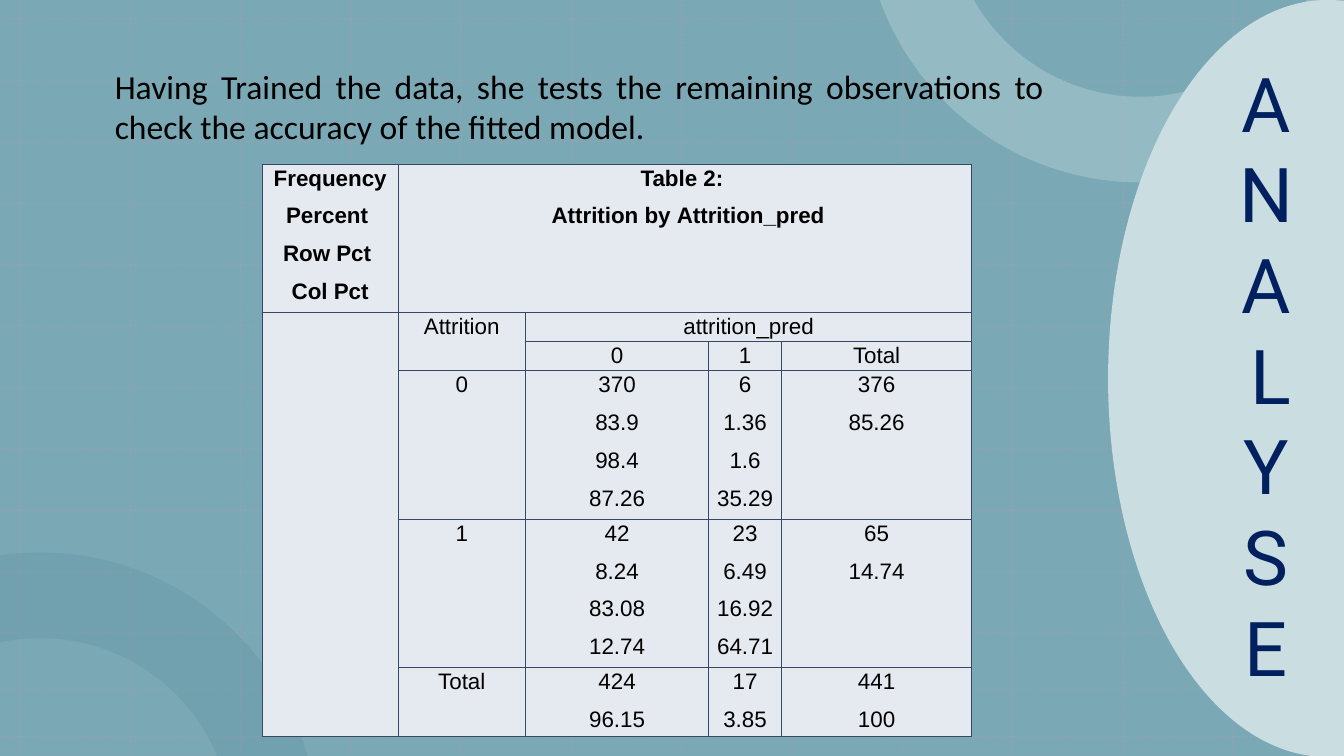
import math

import pptx
import pptx.dml.color
import pptx.enum.shapes
import pptx.enum.text
import pptx.oxml
import pptx.oxml.ns
import pptx.util

Inches, Pt = pptx.util.Inches, pptx.util.Pt
RGBColor = pptx.dml.color.RGBColor
ALIGN = pptx.enum.text.PP_ALIGN
SHAPE = pptx.enum.shapes.MSO_SHAPE

# Content
TITLE = "ANALYSE"
INTRO = ("Having Trained the data, she tests the remaining observations "
         "to check the accuracy of the fitted model.")
# (row, column, rows spanned, columns spanned, lines)
HEADER_CELLS = [
    (0, 0, 1, 1, ["Frequency", "Percent ", "Row Pct ", "Col Pct"]),
    (0, 1, 1, 4, ["Table 2: ", "\u00a0Attrition\u00a0by\u00a0Attrition_pred"]),
    (1, 0, 5, 1, []),
    (1, 1, 2, 1, ["Attrition"]),
    (1, 2, 1, 3, ["attrition_pred"]),
]
# Rows below the merged headers, from the second column on
BODY_ROWS = {
    2: [None, ["0"], ["1"], ["Total"]],
    3: [["0"], ["370", "83.9", "98.4", "87.26"], ["6", "1.36", "1.6", "35.29"],
        ["376", "85.26"]],
    4: [["1"], ["42", "8.24", "83.08", "12.74"], ["23", "6.49", "16.92", "64.71"],
        ["65", "14.74"]],
    5: [["Total"], ["424", "96.15"], ["17", "3.85"], ["441", "100"]],
}

# Colours
ROSE = RGBColor(0xD6, 0xB2, 0xB8)
TEAL = RGBColor(0x7A, 0xA9, 0xB5)
DEEP_TEAL = RGBColor(0x51, 0x85, 0x92)
LIGHT_TEAL = RGBColor(0xAF, 0xCB, 0xD3)
PALE_TEAL = RGBColor(0xCA, 0xDD, 0xE1)
PINK = RGBColor(0xC7, 0x95, 0xB3)
NAVY = RGBColor(0x00, 0x20, 0x60)
CELL_FILL = RGBColor(0xE5, 0xEA, 0xF1)
BORDER = RGBColor(0x36, 0x48, 0x66)
BLACK = RGBColor(0, 0, 0)

# Layout, in inches
WIDTH, HEIGHT = 13.33, 7.5
GRID_X = [0.2 + 1.0936 * i for i in range(12)] + [13.11]
GRID_Y = [0.19 + 0.609 * i for i in range(11)] + [6.83, 7.31]
RING_OUTER, RING_INNER = 2.75, 1.9
COLUMNS = [1.35, 1.26, 1.82, 0.72, 1.89]
ROWS = [1.47, 0.28, 0.29, 1.47, 1.47, 0.68]

presentation = pptx.Presentation()
presentation.slide_width = Inches(WIDTH)
presentation.slide_height = Inches(HEIGHT)
slide = presentation.slides.add_slide(presentation.slide_layouts[5])
shapes = slide.shapes
slide.background.fill.solid()
slide.background.fill.fore_color.rgb = ROSE


def child(parent, tag, **attributes):
    element = parent.makeelement(pptx.oxml.ns.qn(tag), attributes)
    parent.append(element)
    return element


def set_opacity(properties, percent):
    for color in properties.iter(pptx.oxml.ns.qn("a:srgbClr")):
        child(color, "a:alpha", val=str(percent * 1000))


def style_shape(shape, color):
    shape.shadow.inherit = False
    shape.fill.solid()
    shape.fill.fore_color.rgb = color
    shape.line.fill.background()


def add_panel(kind, left, top, width, height, color):
    panel = shapes.add_shape(kind, Inches(left), Inches(top), Inches(width), Inches(height))
    style_shape(panel, color)
    return panel


def add_grid_line(x1, y1, x2, y2):
    line = shapes.add_connector(pptx.enum.shapes.MSO_CONNECTOR.STRAIGHT,
                                Inches(x1), Inches(y1), Inches(x2), Inches(y2))
    line.line.color.rgb = PINK
    line.line.width = Pt(1.5)
    child(line.line._get_or_add_ln(), "a:prstDash", val="sysDot")
    properties = line._element.spPr
    child(properties, "a:effectLst")
    set_opacity(properties, 20)


def leg(radius, distance):
    return math.sqrt(radius ** 2 - distance ** 2)


def add_ring(center, outer, corners, inner, color, opacity):
    """Part of a ring: the outer and inner points are joined by true arcs."""
    outline = outer + corners + inner
    builder = shapes.build_freeform(*map(Inches, outline[0]), scale=1.0)
    builder.add_line_segments([tuple(map(Inches, point)) for point in outline[1:]])
    ring = builder.convert_to_shape()
    segments = list(ring._element.iter(pptx.oxml.ns.qn("a:lnTo")))
    for segment, start, end in zip(segments, outline, outline[1:]):
        radius = math.dist(center, start)
        if abs(radius - math.dist(center, end)) > 0.001:
            continue
        first, last = (math.degrees(math.atan2(y - center[1], x - center[0]))
                       for x, y in (start, end))
        sweep = (last - first + 180) % 360 - 180
        arc = segment.makeelement(pptx.oxml.ns.qn("a:arcTo"), {
            "wR": str(Inches(radius)), "hR": str(Inches(radius)),
            "stAng": str(round(first % 360 * 60000)), "swAng": str(round(sweep * 60000))})
        segment.getparent().replace(segment, arc)
    style_shape(ring, color)
    set_opacity(ring._element.spPr, opacity)


def style_text(paragraph, font, size, color, alignment, bold=False):
    paragraph.alignment = alignment
    for run in paragraph.runs:
        run.font.name = font
        run.font.size = Pt(size)
        run.font.color.rgb = color
        run.font.bold = bold


def fill_cell(cell, lines, bold):
    cell.text_frame.text = "\n".join(lines)
    for paragraph in cell.text_frame.paragraphs:
        style_text(paragraph, "Arial", 16, BLACK, ALIGN.CENTER, bold)
        paragraph.line_spacing = 1.07
        paragraph.space_after = Pt(8)


def add_borders(cell):
    properties = cell._tc.get_or_add_tcPr()
    for index, side in enumerate(("a:lnL", "a:lnR", "a:lnT", "a:lnB")):
        line = properties.makeelement(pptx.oxml.ns.qn(side), {"w": str(Pt(1))})
        properties.insert(index, line)
        child(child(line, "a:solidFill"), "a:srgbClr", val=str(BORDER))


# Backdrop, dotted grid and rings cut off by the slide edges
add_panel(SHAPE.RECTANGLE, 0, 0, WIDTH, HEIGHT, TEAL)
for x in GRID_X:
    add_grid_line(x, 0, x, HEIGHT)
for y in GRID_Y:
    add_grid_line(0, y, WIDTH, y)
cx, cy = 0.4, 8.23
add_ring((cx, cy),
         [(0, cy - leg(RING_OUTER, cx)), (cx, cy - RING_OUTER),
          (cx + leg(RING_OUTER, cy - HEIGHT), HEIGHT)], [],
         [(cx + leg(RING_INNER, cy - HEIGHT), HEIGHT), (0, cy - leg(RING_INNER, cx))],
         DEEP_TEAL, 20)
cx, cy = 11.31, -0.94
add_ring((cx, cy),
         [(cx - leg(RING_OUTER, cy), 0), (cx, cy + RING_OUTER),
          (WIDTH, cy + leg(RING_OUTER, WIDTH - cx))], [(WIDTH, 0)],
         [(cx + leg(RING_INNER, cy), 0), (cx - leg(RING_INNER, cy), 0)],
         LIGHT_TEAL, 50)

# Side panel with the stacked title
side_panel = add_panel(SHAPE.OVAL, 10.99, 0, 4.35, 7.51, PALE_TEAL)
title = shapes.title
title.left, title.top = Inches(12.08), Inches(0.48)
title.width, title.height = Inches(0.96), Inches(6.46)
title.text_frame.text = TITLE
title.text_frame.vertical_anchor = pptx.enum.text.MSO_ANCHOR.TOP
title.text_frame.auto_size = pptx.enum.text.MSO_AUTO_SIZE.NONE
title.text_frame._txBody.bodyPr.set("vert", "wordArtVert")
style_text(title.text_frame.paragraphs[0], "Roboto", 54, NAVY, ALIGN.CENTER)
side_panel._element.addnext(title._element)

# Introduction
intro = shapes.add_textbox(Inches(1.04), Inches(0.6), Inches(9.41), Inches(0.91))
intro.text_frame.word_wrap = True
intro.text_frame.text = INTRO
style_text(intro.text_frame.paragraphs[0], "Calibri", 24, BLACK, ALIGN.JUSTIFY)

# Confusion table
table = shapes.add_table(len(ROWS), len(COLUMNS), Inches(2.6), Inches(1.63),
                         Inches(sum(COLUMNS)), Inches(sum(ROWS))).table
table.first_row = table.horz_banding = False
for column, width in zip(table.columns, COLUMNS):
    column.width = Inches(width)
for row, height in zip(table.rows, ROWS):
    row.height = Inches(height)
for cell in table.iter_cells():
    cell.margin_left = cell.margin_right = Inches(0.04)
    cell.margin_top = cell.margin_bottom = 0
    cell.fill.solid()
    cell.fill.fore_color.rgb = CELL_FILL
    add_borders(cell)
for row, column, row_span, column_span, lines in HEADER_CELLS:
    cell = table.cell(row, column)
    if row_span * column_span > 1:
        cell.merge(table.cell(row + row_span - 1, column + column_span - 1))
    fill_cell(cell, lines, bold=row == 0)
for row, entries in BODY_ROWS.items():
    for column, lines in enumerate(entries, start=1):
        if lines:
            fill_cell(table.cell(row, column), lines, bold=False)

presentation.save("out.pptx")
